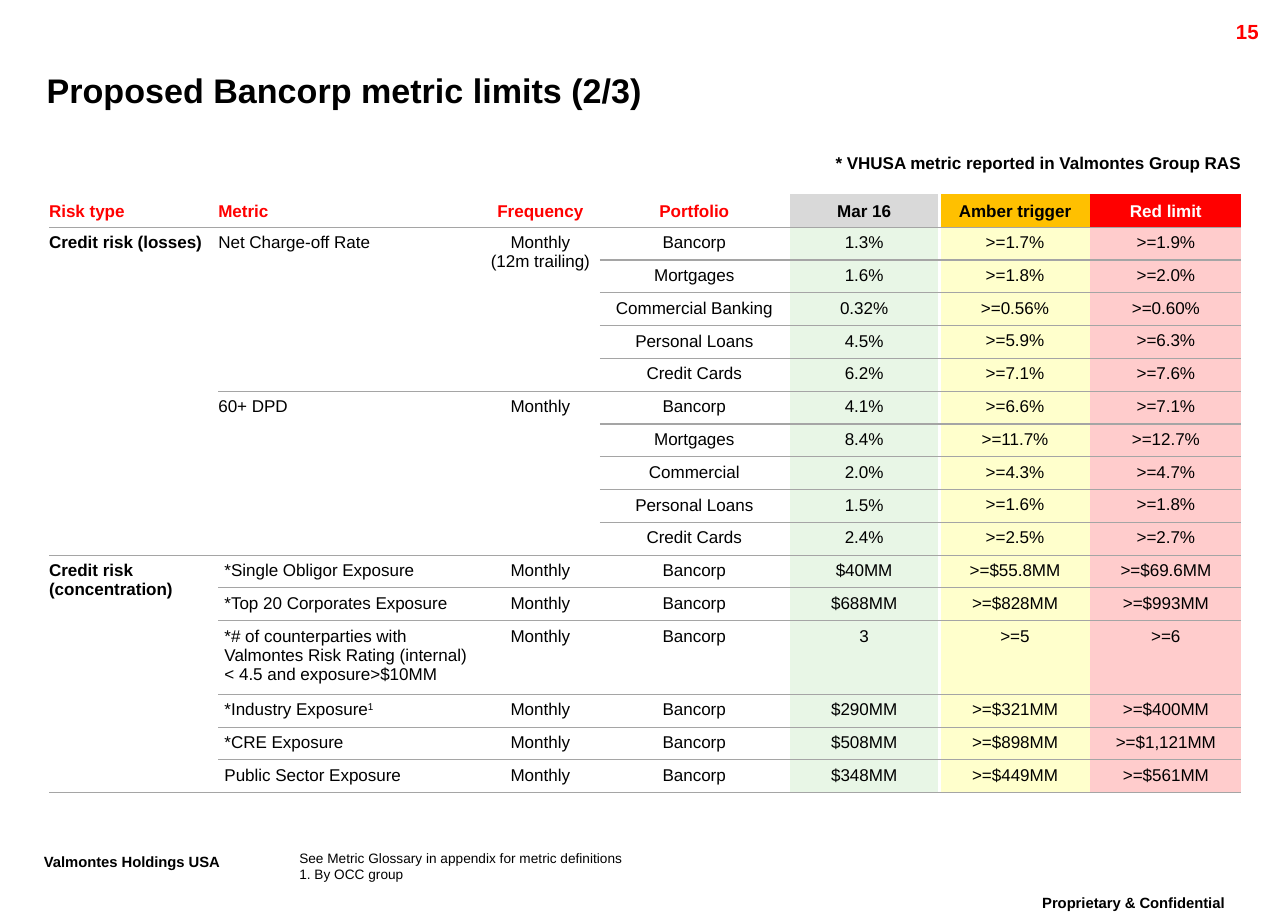
"""Build the slide of proposed Bancorp credit risk metric limits."""
from lxml import etree
from pptx import Presentation
from pptx import util as u
from pptx.dml.color import RGBColor
from pptx.enum import text
from pptx.oxml.ns import qn

THEME = {
    "font": "Arial", "black": "000000", "white": "FFFFFF", "red": "FF0000", "rule": "A5A5A5",
    "heads": {4: "D9D9D9", 5: "FFC000", 6: "FF0000"},
    "bands": {4: "E8F6E6", 5: "FFFFCC", 6: "FFCCCC"},
    "title": 20, "number": 12, "table": 10, "note": 8, "footer": 15,
    "tight": 0.86, "rule_width": 0.75, "gap_width": 1.5,
}
LEFT, CENTER, RIGHT = text.PP_ALIGN.LEFT, text.PP_ALIGN.CENTER, text.PP_ALIGN.RIGHT
TOP, MIDDLE, BOTTOM = text.MSO_ANCHOR.TOP, text.MSO_ANCHOR.MIDDLE, text.MSO_ANCHOR.BOTTOM
NO_STYLE = "{2D5ABB26-0587-4C30-8999-92F81FD0307C}"

deck = Presentation()
deck.slide_width, deck.slide_height = u.Inches(10.5), u.Inches(7.5)
page = deck.slides.add_slide(deck.slide_layouts[6])
column, row = deck.slide_width / 105, deck.slide_height / 75


def write(frame, lines, size, color="black", bold=False, align=LEFT, spacing=None):
    """Fill a text frame; parts after a caret are raised."""
    for index, line in enumerate(lines):
        para = frame.paragraphs[0] if index == 0 else frame.add_paragraph()
        para.alignment = align
        if spacing:
            para.line_spacing = spacing
        for part, words in enumerate(line.split("^")):
            if words:
                span = para.add_run()
                span.text = words
                span.font.name, span.font.size, span.font.bold = THEME["font"], u.Pt(size), bold
                span.font.color.rgb = RGBColor.from_string(THEME[color])
                if part:
                    span.font._element.set("baseline", "30000")


def draw_border(cell, side, color, width):
    """Give one side of a table cell a solid line."""
    line = etree.SubElement(cell._tc.get_or_add_tcPr(), qn(f"a:{side}"), w=str(u.Pt(width)))
    fill = etree.SubElement(line, qn("a:solidFill"))
    etree.SubElement(fill, qn("a:srgbClr"), val=THEME[color])


HEADERS = ["Risk type", "Metric", "Frequency", "Portfolio", "Mar 16", "Amber trigger", "Red limit"]
LIMITS = [
    ("Bancorp", "1.3%", "1.7%", "1.9%"),
    ("Mortgages", "1.6%", "1.8%", "2.0%"),
    ("Commercial Banking", "0.32%", "0.56%", "0.60%"),
    ("Personal Loans", "4.5%", "5.9%", "6.3%"),
    ("Credit Cards", "6.2%", "7.1%", "7.6%"),
    ("Bancorp", "4.1%", "6.6%", "7.1%"),
    ("Mortgages", "8.4%", "11.7%", "12.7%"),
    ("Commercial", "2.0%", "4.3%", "4.7%"),
    ("Personal Loans", "1.5%", "1.6%", "1.8%"),
    ("Credit Cards", "2.4%", "2.5%", "2.7%"),
    ("Bancorp", "$40MM", "$55.8MM", "$69.6MM"),
    ("Bancorp", "$688MM", "$828MM", "$993MM"),
    ("Bancorp", "3", "5", "6"),
    ("Bancorp", "$290MM", "$321MM", "$400MM"),
    ("Bancorp", "$508MM", "$898MM", "$1,121MM"),
    ("Bancorp", "$348MM", "$449MM", "$561MM"),
]
CONCENTRATION = [
    "*Single Obligor Exposure",
    "*Top 20 Corporates Exposure",
    "*# of counterparties with Valmontes Risk Rating (internal) < 4.5 and exposure>$10MM",
    "*Industry Exposure^1",
    "*CRE Exposure",
    "Public Sector Exposure",
]
GROUPS = [
    (1, 0, 10, ["Credit risk (losses)"]),
    (11, 0, 6, ["Credit risk (concentration)"]),
    (1, 1, 5, ["Net Charge-off Rate"]),
    (6, 1, 5, ["60+ DPD"]),
    (1, 2, 5, ["Monthly", "(12m trailing)"]),
    (6, 2, 5, ["Monthly"]),
]
FIRST_CONCENTRATION, TALL_ROW = 11, 13

entries = {(0, c): [words] for c, words in enumerate(HEADERS)}
for r, (portfolio, actual, amber, red) in enumerate(LIMITS, 1):
    for c, words in enumerate([portfolio, actual, ">=" + amber, ">=" + red], 3):
        entries[r, c] = [words]
for r, metric in enumerate(CONCENTRATION, FIRST_CONCENTRATION):
    entries[r, 1], entries[r, 2] = [metric], ["Monthly"]

rows = len(LIMITS) + 1
widths = [13.8, 21.4, 9.7, 15.4, 12.3, 12.3, 12.3]
tall = 6
normal = (48.8 - tall) / (rows - 1)
grid = page.shapes.add_table(rows, len(widths), int(4 * column), int(15.85 * row),
                             int(sum(widths) * column), int(48.8 * row)).table
grid._tbl.tblPr.find(qn("a:tableStyleId")).text = NO_STYLE
grid.first_row = grid.horz_banding = False
for c, width in enumerate(widths):
    grid.columns[c].width = int(width * column)
for r in range(rows):
    grid.rows[r].height = int((tall if r == TALL_ROW else normal) * row)
for r, c, count, lines in GROUPS:
    grid.cell(r, c).merge(grid.cell(r + count - 1, c))
    entries[r, c] = lines
group_ends = {(r + count - 1, c) for r, c, count, lines in GROUPS}

for r in range(rows):
    for c in range(len(widths)):
        cell = grid.cell(r, c)
        header, percent_limit = r == 0, c > 4 and 0 < r < FIRST_CONCENTRATION
        flush = c == 0 or (c == 1 and r < FIRST_CONCENTRATION)
        inset = u.Inches(0 if percent_limit else 0.05)
        cell.margin_top = cell.margin_right = cell.margin_bottom = inset
        cell.margin_left = 0 if flush else inset
        cell.vertical_anchor = BOTTOM if header else MIDDLE if percent_limit else TOP
        if c == 4:
            draw_border(cell, "lnL", "white", THEME["gap_width"])
        if c == 3:
            draw_border(cell, "lnR", "white", THEME["gap_width"])
        if not header and not cell.is_spanned:
            draw_border(cell, "lnT", "rule", THEME["rule_width"])
        if not cell.is_spanned or (r, c) in group_ends:
            draw_border(cell, "lnB", "rule", THEME["rule_width"])
        shade = THEME["heads" if header else "bands"].get(c)
        if shade:
            cell.fill.solid()
            cell.fill.fore_color.rgb = RGBColor.from_string(shade)
        else:
            cell.fill.background()
        color = "black" if not header or c in (4, 5) else "white" if c == 6 else "red"
        if (r, c) in entries:
            write(cell.text_frame, entries[r, c], THEME["table"], color, header or c == 0,
                  LEFT if c < 2 else CENTER, THEME["tight"] if header or percent_limit else None)

LABELS = [
    ((81.5, 72.5, 21.8, 3.5), ["^Proprietary & Confidential"], "footer", "black", True, CENTER, THEME["tight"], True, TOP),
    ((2.6, 69.1, 19.1, 3.5), ["^Valmontes Holdings USA"], "footer", "black", True, LEFT, THEME["tight"], True, TOP),
    ((93.6, 1.1, 10, 2.4), ["15"], "number", "red", True, RIGHT, None, True, TOP),
    ((3.8, 4.9, 94.8, 4.8), ["Proposed Bancorp metric limits (2/3)"], "title", "black", True, LEFT, None, False, MIDDLE),
    ((24.4, 69.3, 54.7, 2.7), ["See Metric Glossary in appendix for metric definitions", "1. By OCC group"],
     "note", "black", False, LEFT, None, False, TOP),
    ((66, 12.2, 36.1, 2.5), ["* VHUSA metric reported in Valmontes Group RAS"],
     "table", "black", True, RIGHT, THEME["tight"], True, TOP),
]
for (x, y, width, height), lines, size, color, bold, align, spacing, padded, anchor in LABELS:
    box = page.shapes.add_textbox(int(x * column), int(y * row), int(width * column), int(height * row))
    frame = box.text_frame
    frame.word_wrap, frame.vertical_anchor = True, anchor
    if not padded:
        frame.margin_left = frame.margin_right = frame.margin_top = frame.margin_bottom = 0
    write(frame, lines, THEME[size], color, bold, align, spacing)

deck.save("out.pptx")
